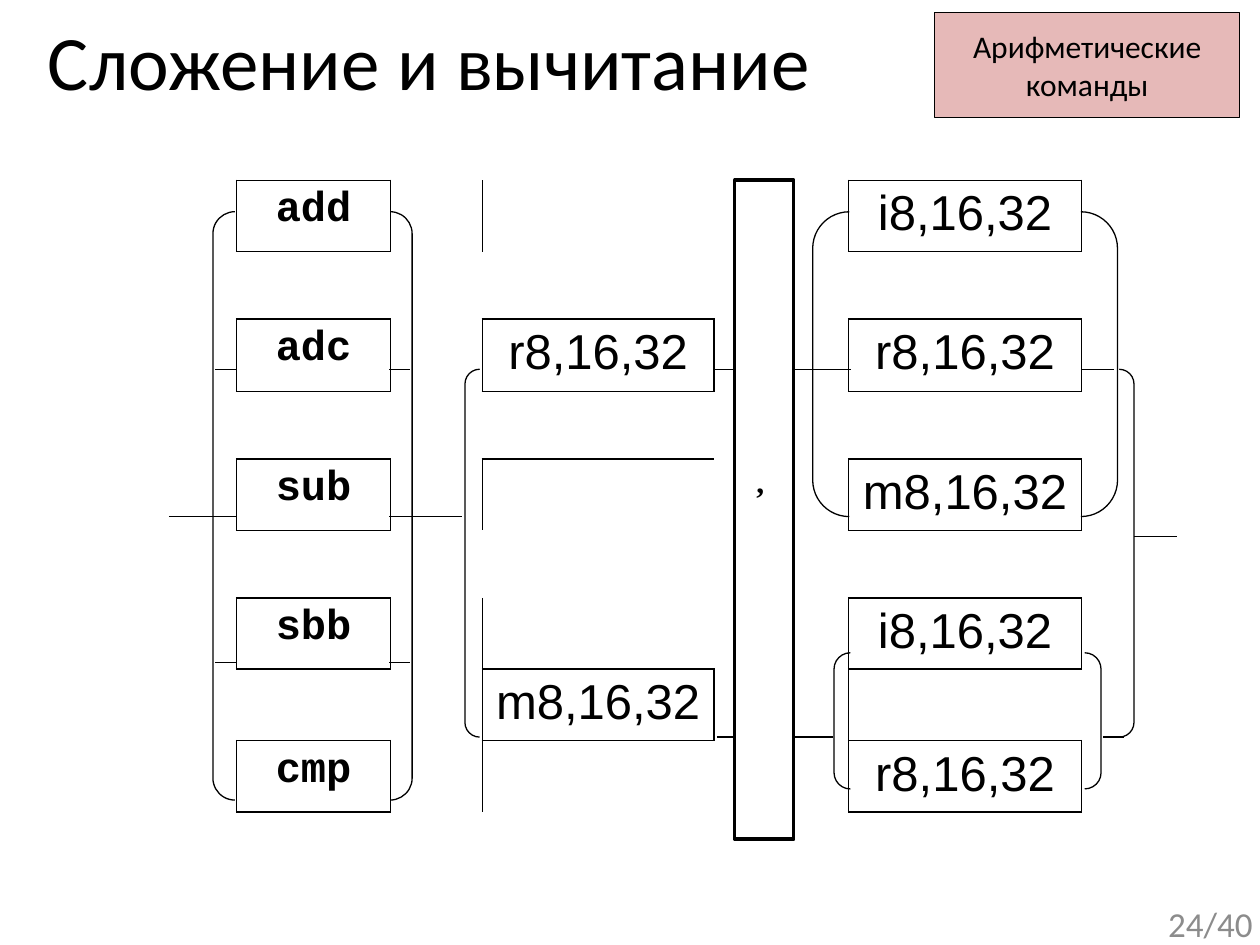
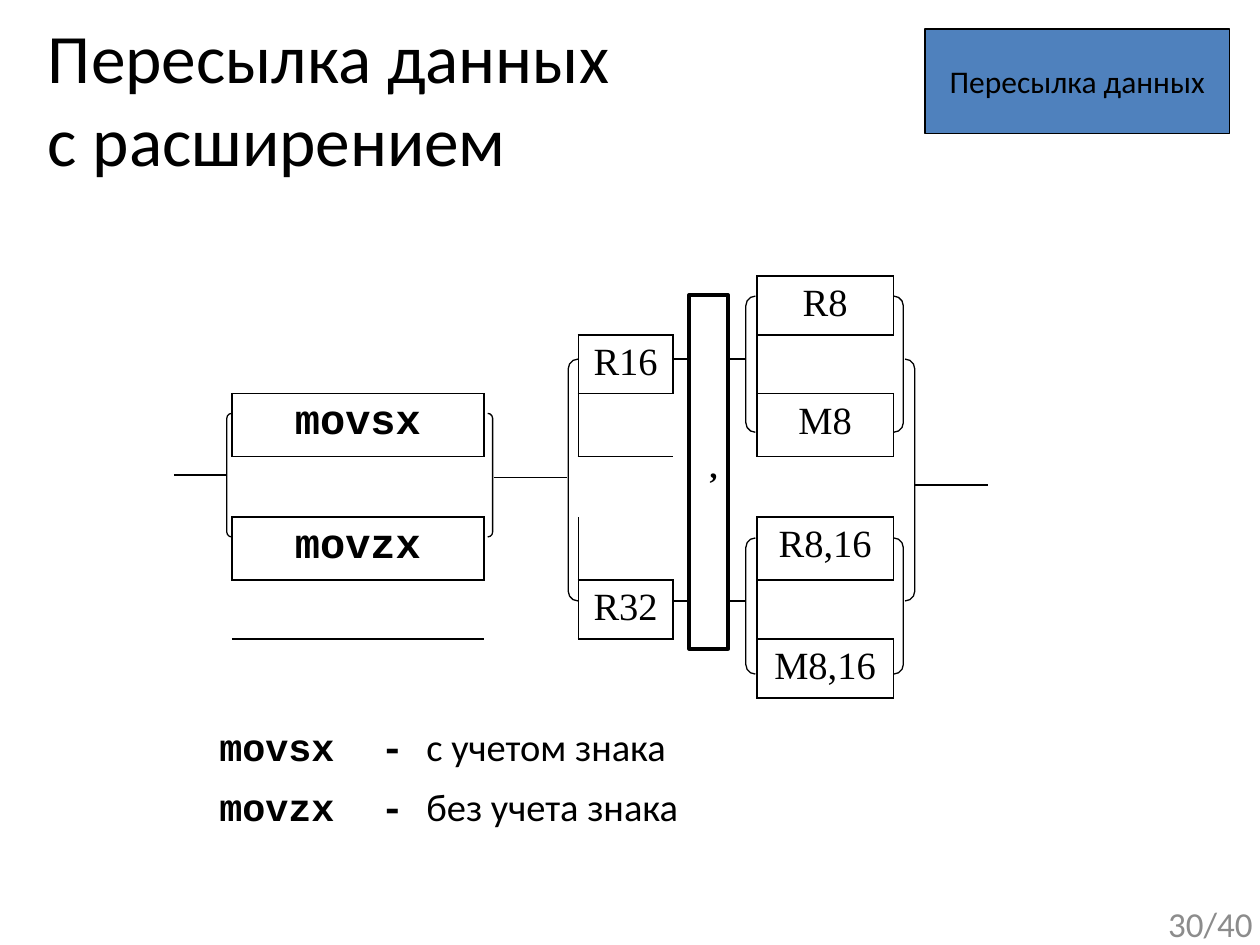
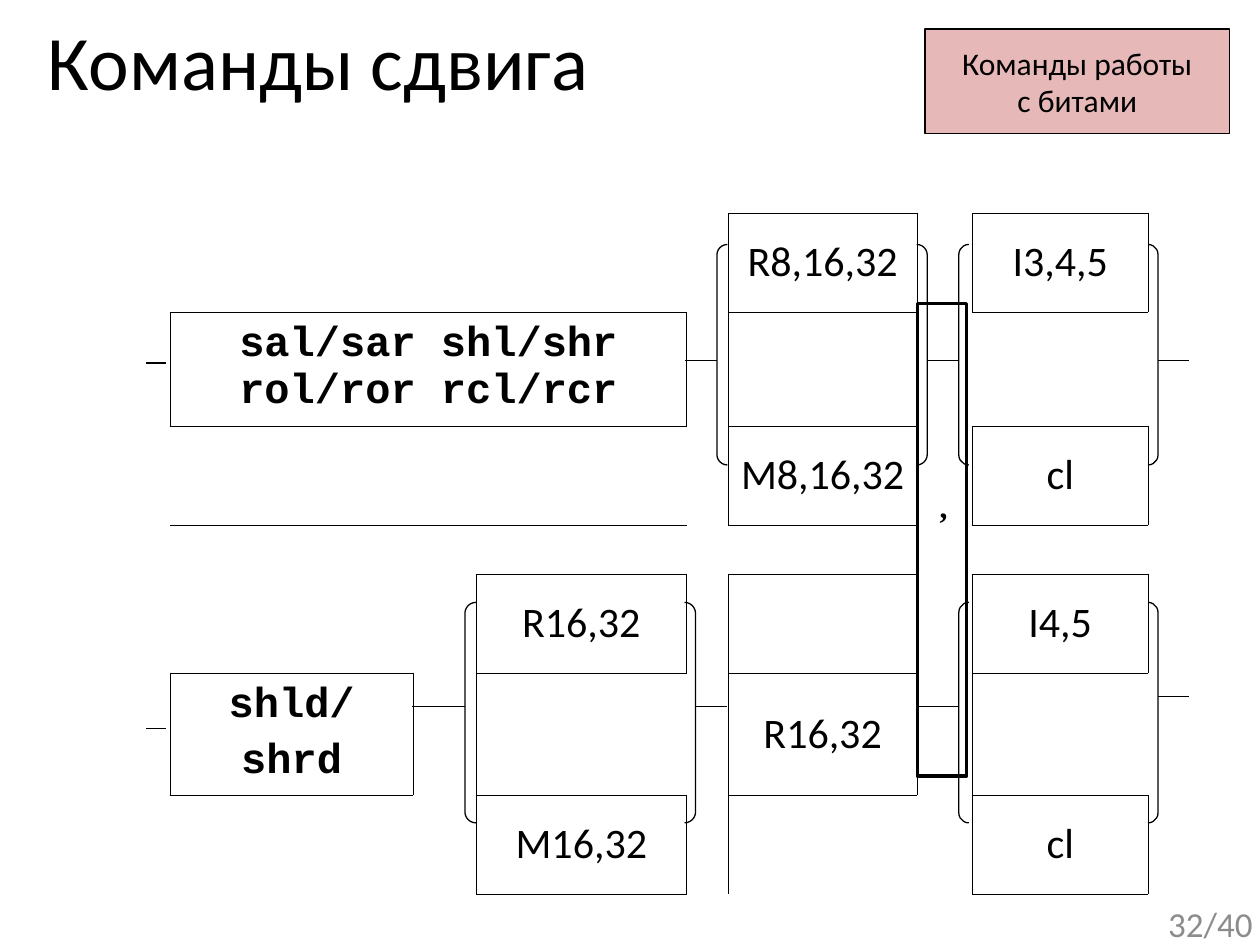
import dataclasses

import lxml.etree
import pptx
import pptx.dml.color
import pptx.enum.shapes
import pptx.enum.text
import pptx.oxml.ns
import pptx.util

Pt = pptx.util.Pt
qn = pptx.oxml.ns.qn
Shape = pptx.enum.shapes.MSO_SHAPE
Align = pptx.enum.text.PP_ALIGN
Anchor = pptx.enum.text.MSO_ANCHOR


# Theme: colours, type and line widths
@dataclasses.dataclass(frozen=True)
class Face:
    font: str
    size: float
    bold: bool = False
    color: str = "000000"


class Theme:
    black, white = "000000", "FFFFFF"
    pink, blue = "E6B9B8", "4F81BD"
    thin, thick = 0.75, 2
    title = Face("Calibri", 44)
    small_title = Face("Calibri", 39.6)
    tag = Face("Calibri", 18)
    page = Face("Calibri", 20, color="8C8C8C")
    comma = Face("Times New Roman", 18, True)
    code = Face("Courier New", 24, True)
    term = Face("Courier New", 22, True)
    note = Face("Calibri", 22)
    sans = Face("Arial", 28)
    serif = Face("Times New Roman", 22)
    plain = Face("Calibri", 24)
    no_style = "{2D5ABB26-0587-4C30-8999-92F81FD0307C}"


def rgb(code):
    return pptx.dml.color.RGBColor.from_string(code)


# Text: a newline starts a paragraph, a vertical tab breaks a line
def lines(text, face):
    return [[(part, face)] for part in text.split("\n")]


def write(frame, paras, align=Align.CENTER, gap=0):
    for num, runs in enumerate(paras):
        para = frame.add_paragraph() if num else frame.paragraphs[0]
        para.alignment = align
        if num:
            para.space_before = Pt(gap)
        for text, face in runs:
            for turn, part in enumerate(text.split("\v")):
                if turn:
                    para.add_line_break()
                run = para.add_run()
                run.text = part
                run.font.name = face.font
                run.font.size = Pt(face.size)
                run.font.bold = face.bold
                run.font.color.rgb = rgb(face.color)


def label(slide, at, text, face, align, anchor, wrap):
    frame = slide.shapes.add_textbox(*map(Pt, at)).text_frame
    frame.word_wrap = wrap
    frame.vertical_anchor = anchor
    write(frame, lines(text, face), align)


# Shapes and lines
def shape(slide, kind, at, fill=None, width=Theme.thin):
    item = slide.shapes.add_shape(kind, *map(Pt, at))
    item.shadow.inherit = False
    if fill:
        item.fill.solid()
        item.fill.fore_color.rgb = rgb(fill)
    else:
        item.fill.background()
    item.line.color.rgb = rgb(Theme.black)
    item.line.width = Pt(width)
    return item


def bracket(slide, at, bend):
    shape(slide, Shape.DOUBLE_BRACKET, at).adjustments[0] = bend


def wire(slide, start, end, y):
    kind = pptx.enum.shapes.MSO_CONNECTOR.STRAIGHT
    item = slide.shapes.add_connector(kind, Pt(start), Pt(y), Pt(end), Pt(y))
    item.line.color.rgb = rgb(Theme.black)
    item.line.width = Pt(Theme.thin)
    lxml.etree.SubElement(item._element.spPr, qn("a:effectLst"))


def bar(slide, at, comma):
    shape(slide, Shape.RECTANGLE, at, Theme.white, Theme.thick)
    label(slide, comma, ",", Theme.comma, Align.CENTER, Anchor.TOP, False)


# Tables: a frame goes round each cell that has text
def edges(row, col, span):
    last = col + span - 1
    found = {(row, col, "L"), (row, col, "R"), (row, last, "R"),
             (row, col - 1, "R"), (row, last + 1, "L")}
    for mid in range(col, last + 1):
        found |= {(row, mid, "T"), (row, mid, "B"),
                  (row - 1, mid, "B"), (row + 1, mid, "T")}
    return found


def rule(cell, side, width):
    line = lxml.etree.SubElement(cell._tc.get_or_add_tcPr(), qn("a:ln" + side),
                                 w=str(int(Pt(width))))
    fill = lxml.etree.SubElement(line, qn("a:solidFill"))
    lxml.etree.SubElement(fill, qn("a:srgbClr"), val=Theme.black)


def grid(slide, left, top, cols, rows, cells, width=0, anchor=Anchor.TOP,
         align=Align.CENTER, spans=None):
    spans = spans or {}
    table = slide.shapes.add_table(len(rows), len(cols), Pt(left), Pt(top),
                                   Pt(sum(cols)), Pt(sum(rows))).table
    table.first_row = table.horz_banding = False
    table._tbl.tblPr.find(qn("a:tableStyleId")).text = Theme.no_style
    for col, size in zip(table.columns, cols):
        col.width = Pt(size)
    for row, size in zip(table.rows, rows):
        row.height = Pt(size)
    for (row, col), span in spans.items():
        table.cell(row, col).merge(table.cell(row, col + span - 1))
    if width:
        found = set()
        for row, col in cells:
            found |= edges(row, col, spans.get((row, col), 1))
        for row, col, side in sorted(found, key=lambda e: "LRTB".index(e[2])):
            if 0 <= row < len(rows) and 0 <= col < len(cols):
                rule(table.cell(row, col), side, width)
    for row in range(len(rows)):
        for col in range(len(cols)):
            cell = table.cell(row, col)
            cell.fill.background()
            if (row, col) in cells:
                cell.vertical_anchor = anchor
                write(cell.text_frame, cells[row, col], align, 5)
            else:
                para = cell.text_frame.paragraphs[0]._p
                lxml.etree.SubElement(para, qn("a:endParaRPr"), sz="1000")
    return table


def stack(col, rows, words, face):
    return {(row, col): lines(word, face)
            for row, word in zip(rows, words.split())}


def tab_stops(para, stops):
    tabs = lxml.etree.SubElement(para._p.get_or_add_pPr(), qn("a:tabLst"))
    for stop in stops:
        lxml.etree.SubElement(tabs, qn("a:tab"), pos=str(int(Pt(stop))), algn="l")


# Title, topic tag and page number of each slide
def page(deck, title, face, number):
    slide = deck.slides.add_slide(deck.slide_layouts[5])
    head = slide.shapes.title
    head.left, head.top, head.width, head.height = map(Pt, (20.2, 4.3, 680.4, 90))
    frame = head.text_frame
    frame.auto_size = pptx.enum.text.MSO_AUTO_SIZE.NONE
    frame.vertical_anchor = Anchor.TOP
    write(frame, lines(title, face), Align.LEFT)
    label(slide, (555.1, 513.4, 167.8, 28.8), f"{number}/40", Theme.page,
          Align.RIGHT, Anchor.MIDDLE, True)
    return slide


def tag(slide, text, fill, left=528.5, top=16.6):
    frame = shape(slide, Shape.RECTANGLE, (left, top, 174.2, 59.8), fill).text_frame
    frame.word_wrap = False
    frame.vertical_anchor = Anchor.MIDDLE
    write(frame, lines(text, Theme.tag))


def sums(deck):
    slide = page(deck, "Сложение и вычитание", Theme.title, 24)
    tag(slide, "Арифметические\nкоманды", Theme.pink, 534.2, 7.2)
    odd = range(0, 9, 2)
    cells = {**stack(1, odd, "add adc sub sbb cmp", Theme.code),
             **stack(3, (2, 7), "r8,16,32 m8,16,32", Theme.sans),
             **stack(5, odd, "i8,16,32 r8,16,32 m8,16,32 i8,16,32 r8,16,32",
                     Theme.sans)}
    grid(slide, 48.2, 103, (87.1, 87.8, 52.6, 132.3, 77, 133, 41.8),
         [38.5] * 2 + [41.4] + [38.5] * 6, cells, 1)
    # Branches
    bracket(slide, (121.7, 121, 113.8, 336.2), 0.11)
    bracket(slide, (464.4, 121, 174.2, 174.2), 0.12)
    bracket(slide, (476.6, 373, 152.6, 77.8), 0.12)
    bracket(slide, (265.7, 211, 382.3, 210.2), 0.04)
    for y in (211, 295.2, 378.7):
        for start in (123.1, 222.5):
            wire(slide, start, start + 11.5, y)
    for run in ((408.2, 486, 211), (409.7, 475.9, 421.2), (636.5, 618.5, 211),
                (642.2, 630, 421.2), (234, 264.2, 295.2), (96.5, 126, 295.2),
                (648, 672.5, 306.7)):
        wire(slide, *run)
    bar(slide, (419.8, 103, 33.8, 376.6), (424.8, 260.6, 19.4, 28.8))


def moves(deck):
    slide = page(deck, "Пересылка данных \vс расширением", Theme.small_title, 30)
    tag(slide, "Пересылка данных", Theme.blue)
    cells = {**stack(1, (2, 4), "movsx movzx", Theme.code),
             **stack(3, (1, 5), "R16 R32", Theme.serif),
             **stack(5, (0, 2, 4, 6), "R8 M8 R8,16 M8,16", Theme.serif)}
    grid(slide, 78.5, 157.7, (54, 144, 54, 54, 48, 78, 209),
         [31.7] * 2 + [34.5] * 3 + [31.7] * 2, cells, 1)
    # Branches
    for top in (169.2, 307.4):
        bracket(slide, (426.2, top, 90, 77.8), 0.07)
    bracket(slide, (324.7, 205.2, 198, 138.2), 0.04)
    bracket(slide, (129.6, 236.2, 151.9, 70.6), 0.04)
    for run in ((99.4, 129.6, 271.4), (282.2, 324, 272.9), (384.5, 426.2, 205.2),
                (384.5, 426.2, 343.4), (522.7, 564.5, 277.2)):
        wire(slide, *run)
    # Meaning of each command
    notes = (("movsx", "с учетом знака"), ("movzx", "без учета знака"))
    cells = {(row, 0): [[(f"{name}\t-\t", Theme.term), (text, Theme.note)]]
             for row, (name, text) in enumerate(notes)}
    table = grid(slide, 118.1, 410.4, [562.3], [34.3, 34.3, 32], cells,
                 align=Align.LEFT)
    for row, col in cells:
        tab_stops(table.cell(row, col).text_frame.paragraphs[0], (92.4, 118.4))
    bar(slide, (393.8, 168.5, 22.3, 202.3), (399.6, 252, 13, 28.8))


def shifts(deck):
    slide = page(deck, "Команды сдвига", Theme.title, 32)
    bar(slide, (524.2, 173.5, 28.1, 270), (529.9, 275, 15.8, 28.8))
    cells = {(1, 1): lines("sal/sar shl/shr rol/ror rcl/rcr", Theme.code),
             (5, 1): lines("shld/\nshrd", Theme.code),
             **stack(3, (4, 6), "R16,32 M16,32", Theme.plain),
             **stack(5, (0, 2, 5), "R8,16,32 M8,16,32 R16,32", Theme.plain),
             **stack(7, (0, 2, 4, 6), "I3,4,5 cl I4,5 cl", Theme.plain)}
    grid(slide, 79.9, 121.7, (16.6, 139, 36, 120.2, 23.8, 108, 31.7, 100.1, 36),
         (56.6, 65.1, 56.6, 28, 56.6, 69.7, 56.6), cells, 0.25, Anchor.MIDDLE,
         spans={(1, 1): 3})
    # Branches
    for left, top, width in ((265.7, 344.2, 131.8), (547.9, 344.2, 113.8),
                             (547.9, 139.7, 113.8), (409.7, 139.7, 120.2)):
        bracket(slide, (left, top, width, 126), 0.05)
    for run in ((391.7, 409.7, 205.9), (529.9, 547.9, 205.9), (83.5, 95, 207.4),
                (83.5, 95, 416.2), (235.4, 265.7, 403.9), (397.4, 415.4, 403.9),
                (523.4, 547.9, 403.9), (661.7, 679.7, 398.2),
                (661.7, 679.7, 205.9)):
        wire(slide, *run)
    tag(slide, "Команды работы\vс битами", Theme.pink)


def main():
    deck = pptx.Presentation()
    deck.slide_width, deck.slide_height = Pt(720), Pt(540)
    sums(deck)
    moves(deck)
    shifts(deck)
    deck.save("out.pptx")


if __name__ == "__main__":
    main()
